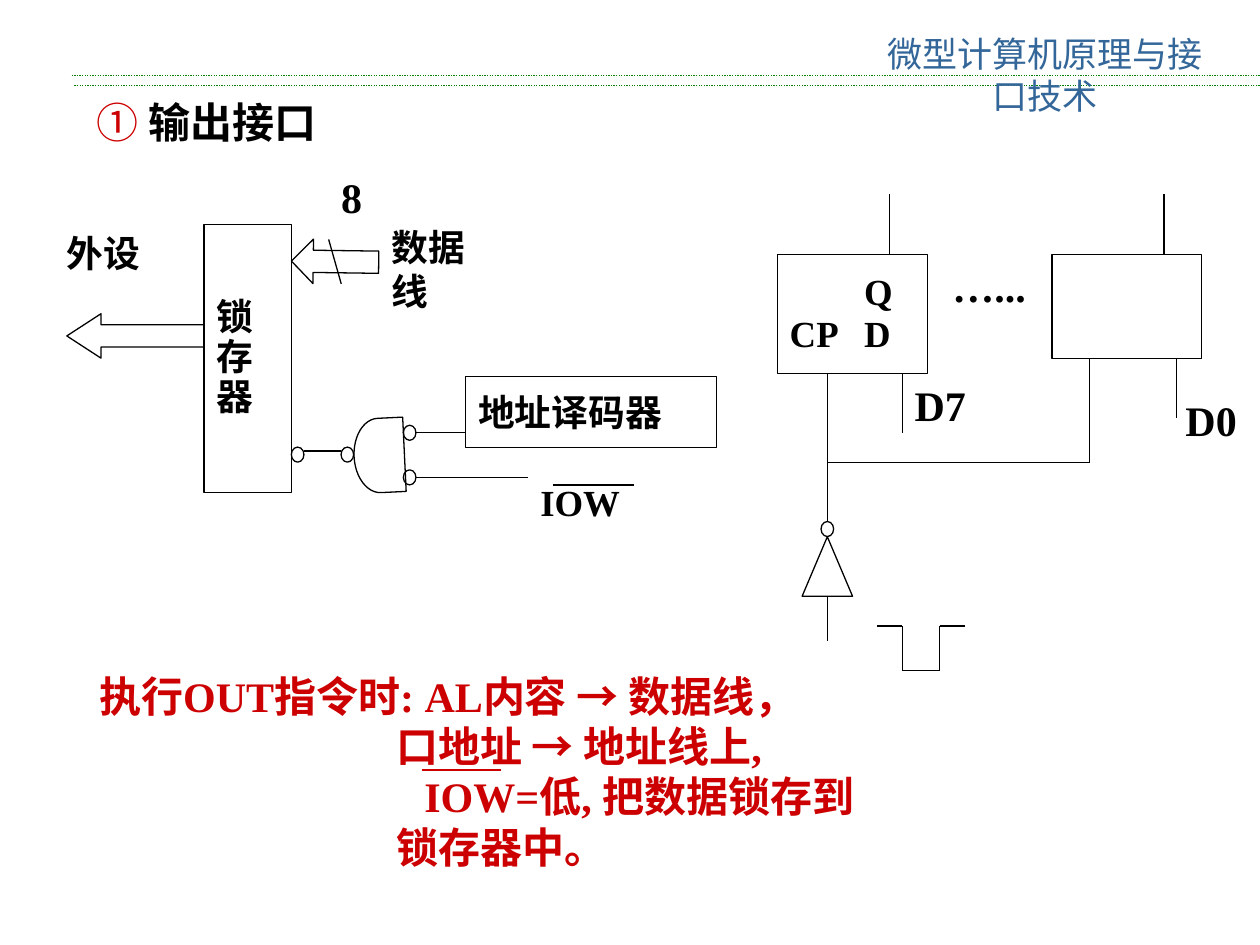
from dataclasses import dataclass
from itertools import pairwise

from lxml import etree
from pptx import Presentation
from pptx.dml.color import RGBColor
from pptx.enum.dml import MSO_LINE
from pptx.enum.shapes import MSO_CONNECTOR, MSO_SHAPE
from pptx.enum.text import MSO_ANCHOR, PP_ALIGN
from pptx.oxml.ns import qn
from pptx.util import Pt

RECT, CIRCLE = MSO_SHAPE.RECTANGLE, MSO_SHAPE.FLOWCHART_CONNECTOR
DELAY, TRIANGLE = MSO_SHAPE.FLOWCHART_DELAY, MSO_SHAPE.FLOWCHART_EXTRACT
LEFT_ARROW, RIGHT_ARROW = MSO_SHAPE.LEFT_ARROW, MSO_SHAPE.RIGHT_ARROW
STRAIGHT, DOTTED = MSO_CONNECTOR.STRAIGHT, MSO_LINE.ROUND_DOT
TOP, MIDDLE = MSO_ANCHOR.TOP, MSO_ANCHOR.MIDDLE
LEFT, CENTER = PP_ALIGN.LEFT, PP_ALIGN.CENTER


@dataclass(frozen=True)
class Theme:
    black: str = "000000"
    red: str = "CC0000"
    blue: str = "336699"
    green: str = "008000"
    serif: str = "Times New Roman"
    sans: str = "Arial"
    cjk: str = "Noto Sans CJK SC"
    header: int = 20
    label: int = 21
    large: int = 24
    stroke: float = 0.75


class Deck:
    """Draws styled elements on the current slide."""

    def __init__(self, prs, theme):
        self.theme = theme
        self.s = prs.slides.add_slide(prs.slide_layouts[6])

    def fill_text(self, tf, paras, size=None, color=None, font=None, bold=True,
                  anchor=TOP, wrap=True, align=LEFT, spacing=None, indents=(), tab=None):
        t = self.theme
        frame = {"word_wrap": wrap, "vertical_anchor": anchor}
        for name, value in frame.items():
            setattr(tf, name, value)
        for i, runs in enumerate(paras):
            p = tf.add_paragraph() if i else tf.paragraphs[0]
            pPr = p._p.get_or_add_pPr()
            if tab:
                tabs = etree.SubElement(pPr, qn("a:tabLst"))
                etree.SubElement(tabs, qn("a:tab"), pos=str(Pt(tab)), algn="l")
            if indents:
                pPr.set("marL", str(Pt(indents[i])))
                pPr.set("indent", "0")
            for name, value in {"alignment": align, "line_spacing": spacing}.items():
                setattr(p, name, value)
            for text, own in [(runs, {})] if isinstance(runs, str) else runs:
                r = p.add_run()
                r.text = text
                fmt = {"name": font or t.serif, "size": Pt(size or t.label), "bold": bold}
                color_now = own.get("color", color or t.black)
                fmt |= {k: v for k, v in own.items() if k != "color"}
                for name, value in fmt.items():
                    setattr(r.font, name, value)
                r.font.color.rgb = RGBColor.from_string(color_now)

    def text(self, x, y, w, h, *paras, **style):
        sp = self.s.shapes.add_textbox(Pt(x), Pt(y), Pt(w), Pt(h))
        self.fill_text(sp.text_frame, paras, **style)

    def shape(self, kind, x, y, w, h, *paras, rotation=0, adj=(), **style):
        sp = self.s.shapes.add_shape(kind, Pt(x), Pt(y), Pt(w), Pt(h))
        sp.shadow.inherit = False
        sp.fill.background()
        sp.line.color.rgb = RGBColor.from_string(self.theme.black)
        sp.line.width = Pt(self.theme.stroke)
        sp.rotation = rotation
        for i, value in enumerate(adj):
            sp.adjustments[i] = value
        self.fill_text(sp.text_frame, paras, anchor=MIDDLE, **style)

    def line(self, *points, color=None, dash=None):
        for start, end in pairwise(points):
            c = self.s.shapes.add_connector(STRAIGHT, *map(Pt, (*start, *end)))
            c.line.color.rgb = RGBColor.from_string(color or self.theme.black)
            c.line.width = Pt(self.theme.stroke)
            c.line.dash_style = dash
            etree.SubElement(c._element.spPr, qn("a:effectLst"))


def header(d, t):
    for x, y in ((42.5, 49), (41, 43.2)):
        d.line((x, y), (720, y), color=t.green, dash=DOTTED)
    d.text(496, 15.1, 202.3, 20.2, "微型计算机原理与接口技术", size=t.header,
           color=t.blue, font=t.cjk, bold=False, wrap=False, align=CENTER)
    mark = {"name": t.sans, "bold": False, "color": t.red}
    d.text(20.2, 49, 266.4, 38.9, [("① ", mark), ("输出接口", {})],
           size=t.large, spacing=1.1, indents=[28])


def latch_diagram(d, t):
    d.shape(RECT, 116.6, 128.2, 49.9, 153.2, "锁", "存", "器", spacing=0.9)
    d.shape(RIGHT_ARROW, 166.5, 136.8, 49.9, 25.4, rotation=180.8, adj=(0.5, 0.49))
    d.shape(LEFT_ARROW, 38.2, 179.3, 78.4, 25.4, adj=(0.5, 0.77))
    for x, y in ((166.5, 255.5), (194.9, 255.5), (230.5, 243), (230.5, 268.5)):
        d.shape(CIRCLE, x, y, 7.2, 8.6)
    d.shape(DELAY, 202.3, 239, 28.8, 42.5, rotation=177.3)
    d.shape(RECT, 266.2, 215.3, 143.1, 40.3, "地址译码器")
    d.line((237.7, 247.3), (266.2, 247.3))
    d.line((237.7, 272.8), (301.7, 272.8))
    d.line((173.7, 257.8), (194.9, 257.8))
    d.line((187.8, 136.8), (195, 162.2))
    d.line((316.2, 277.2), (362.3, 277.2))
    d.text(301.7, 270.7, 85.7, 32.4, "IOW")
    d.text(216.7, 124.6, 77, 32.4, "数据线", wrap=False)
    d.text(31, 128.2, 78.5, 32.4, "外设")
    d.text(187.9, 94.3, 25.9, 36, "8", size=t.large, wrap=False)


def flip_flop_diagram(d, t):
    d.shape(RECT, 444.2, 145.3, 85.8, 68, "\tQ", "CP\tD", spacing=0.95, tab=42.5)
    d.shape(RECT, 601.2, 145.3, 85.6, 59.5)
    for x in (508.4, 665.2):
        d.line((x, 111), (x, 145.3))
    d.line((515.6, 213.3), (515.6, 247.2))
    d.line((672.4, 204.8), (672.4, 238.8))
    d.line((472.8, 213.3), (472.8, 298))
    d.line((622.6, 204.8), (622.6, 264.2), (472.8, 264.2))
    d.shape(CIRCLE, 469.2, 298, 7.2, 8.6)
    d.shape(TRIANGLE, 458.4, 306.7, 28.8, 34)
    d.line((472.8, 340.7), (472.8, 366.3))
    d.line((501.3, 357.8), (515.6, 357.8), (515.6, 383.2),
           (537, 383.2), (537, 357.8), (551.5, 357.8))
    for x, y, w, label in ((537.1, 145.4, 56.2, "…..."),
                           (515.5, 213.1, 43.9, "D7"), (670.3, 221.8, 43.9, "D0")):
        d.text(x, y, w, 36, label, size=t.large, wrap=False)


def explanation(d, t):
    arrow = ("→", {"name": t.cjk})
    d.text(19.4, 379.4, 677.5, 122.4,
           [("执行OUT指令时: AL内容 ", {}), arrow, (" 数据线，", {})],
           [("口地址 ", {}), arrow, (" 地址线上,", {})],
           "IOW=低, 把数据锁存到", "锁存器中。",
           size=t.large, color=t.red, indents=[30.2, 200, 216, 200])
    d.line((241.2, 440), (286.5, 440), color=t.red)


def main():
    prs = Presentation()
    prs.slide_width, prs.slide_height = Pt(720), Pt(540)
    t = Theme()
    d = Deck(prs, t)
    for draw in (header, latch_diagram, flip_flop_diagram, explanation):
        draw(d, t)
    prs.save("out.pptx")


if __name__ == "__main__":
    main()
